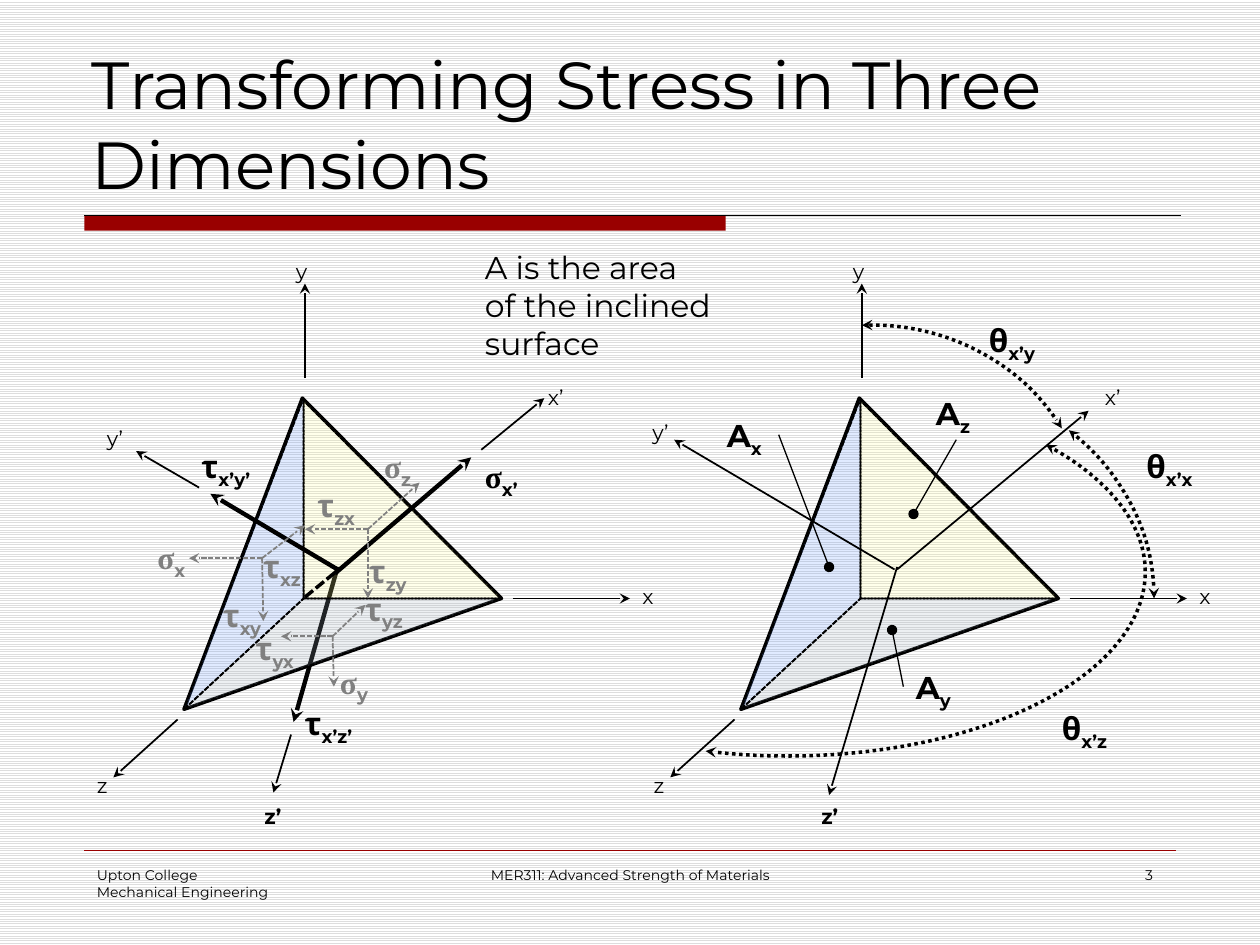
from pptx import Presentation
from pptx.dml.color import RGBColor
from pptx.enum.dml import MSO_LINE, MSO_PATTERN
from pptx.enum.shapes import MSO_CONNECTOR, MSO_SHAPE
from pptx.enum.text import MSO_ANCHOR, MSO_AUTO_SIZE, PP_ALIGN
from pptx.oxml.ns import qn
from pptx.util import Inches, Pt
from lxml.etree import SubElement

BLACK, GREY, RED = "000000", "808080", "990000"
DASH, DOT = MSO_LINE.SQUARE_DOT, MSO_LINE.ROUND_DOT
SANS, SERIF = "Montserrat", "Times New Roman"


def color(value):
    """Turn a hex string into a colour."""
    return RGBColor.from_string(value)


class Sketch:
    """Style and current page, with one method per kind of element."""

    def __init__(self, page):
        """Remember the page and give it the ruled background."""
        self.page = page
        self.shapes = page.shapes
        fill = page.background.fill
        fill.patterned()
        fill.pattern = MSO_PATTERN.LIGHT_HORIZONTAL
        fill.fore_color.rgb = color("DDDDDD")
        fill.back_color.rgb = color("FFFFFF")

    def stroke(self, shape, width, ink=BLACK, dash=None, **ends):
        """Set the outline, its dash and its arrowheads."""
        shape.line.width = Pt(width)
        shape.line.color.rgb = color(ink)
        if dash:
            shape.line.dash_style = dash
        outline = shape.line._get_or_add_ln()
        for name, kind in ends.items():
            SubElement(outline, qn("a:" + name), type=kind)

    def line(self, start, end, width=1, ink=BLACK, dash=None, tail="stealth"):
        """Draw a straight line, with an arrowhead at its end by default."""
        points = [Inches(value) for value in (*start, *end)]
        line = self.shapes.add_connector(MSO_CONNECTOR.STRAIGHT, *points)
        ends = {"tailEnd": tail} if tail else {}
        self.stroke(line, width, ink, dash, **ends)
        SubElement(line._element.spPr, qn("a:effectLst"))

    def polygon(self, points, width, fill=None, dash=None):
        """Draw a closed outline, tinted when a fill is given."""
        corners = [(Inches(x), Inches(y)) for x, y in points]
        builder = self.shapes.build_freeform(*corners[0], scale=1.0)
        builder.add_line_segments(corners[1:], close=True)
        shape = builder.convert_to_shape()
        shape.shadow.inherit = False
        if fill:
            shape.fill.solid()
            shape.fill.fore_color.rgb = color(fill)
            tint = shape._element.spPr.find(qn("a:solidFill"))[0]
            SubElement(tint, qn("a:alpha"), val="20000")
        else:
            shape.fill.background()
        self.stroke(shape, width, dash=dash)

    def bar(self, left, top, width, height):
        """Draw a plain red bar."""
        shape = self.shapes.add_shape(
            MSO_SHAPE.RECTANGLE, *map(Inches, (left, top, width, height)))
        shape.shadow.inherit = False
        shape.fill.solid()
        shape.fill.fore_color.rgb = color(RED)
        shape.line.fill.background()

    def arc(self, left, top, width, height, start, end):
        """Draw a dotted arc between two angles in degrees."""
        shape = self.shapes.add_shape(
            MSO_SHAPE.ARC, *map(Inches, (left, top, width, height)))
        shape.shadow.inherit = False
        shape.fill.background()
        shape.adjustments[0] = start * 0.6
        shape.adjustments[1] = end * 0.6
        self.stroke(shape, 2, dash=DOT, headEnd="stealth", tailEnd="stealth")

    def span(self, para, text, size, ink=BLACK, bold=False, font=SANS, sub=False):
        """Add one run."""
        run = para.add_run()
        run.text = text
        run.font.size, run.font.name, run.font.bold = Pt(size), font, bold
        run.font.color.rgb = color(ink)
        if sub:
            run._r.get_or_add_rPr().set("baseline", "-25000")

    def box(self, left, top, width, height, wrap=True, grow=False):
        """Add an empty text box and return its frame."""
        box = self.shapes.add_textbox(*map(Inches, (left, top, width, height)))
        frame = box.text_frame
        frame.word_wrap = wrap
        if grow:
            frame.auto_size = MSO_AUTO_SIZE.SHAPE_TO_FIT_TEXT
        return frame

    def text(self, place, lines, size, align=PP_ALIGN.LEFT, **options):
        """Add a text box with one paragraph per line."""
        frame = self.box(*place, **options)
        for index, words in enumerate(lines):
            para = frame.add_paragraph() if index else frame.paragraphs[0]
            para.alignment = align
            self.span(para, words, size)
        return frame

    def axis_name(self, name, left, top, bold=False):
        """Add the name of an axis."""
        frame = self.box(left, top, 0.42 if len(name) > 1 else 0.33, 0.3, grow=True)
        self.span(frame.paragraphs[0], name, 12, bold=bold)

    def symbol(self, letter, index, left, top, width, ink=BLACK, wrap=False):
        """Add a bold letter with a subscript."""
        frame = self.box(left, top, width, 0.71 if letter == "τ" else 0.4, wrap, True)
        para = frame.paragraphs[0]
        self.span(para, letter, 18, ink, True, SERIF if letter == "σ" else SANS)
        self.span(para, index, 18, ink, True, sub=True)

    def tetrahedron(self, shift):
        """Draw the cut element with its fixed axes, moved right by shift."""
        def at(x, y):
            return round(x + shift, 2), y

        origin, top, right, front = at(2.41, 4.75), at(2.4, 3.16), at(3.98, 4.75), at(1.46, 5.63)
        for start, end in (((2.42, 3), (2.42, 2.25)), ((4.07, 4.75), (5, 4.75)),
                           ((1.41, 5.71), (0.9, 6.17))):
            self.line(at(*start), at(*end))
        self.polygon((front, top, right), 2)
        for face, tint in (((front, origin, at(2.41, 3.16)), "6699FF"),
                           ((origin, at(2.41, 3.18), right), "FFFF99"),
                           ((origin, right, front), "A3B2C1")):
            self.polygon(face, 1, tint, DASH)
        for name, x, y in (("x", 5, 4.58), ("y", 2.25, 2), ("z", 0.67, 6.08),
                           ("x’", 4.25, 3), ("z’", 2, 6.33)):
            self.axis_name(name, *at(x, y), bold=name == "z’")


deck = Presentation()
deck.slide_width, deck.slide_height = Inches(10), Inches(7.5)
sketch = Sketch(deck.slides.add_slide(deck.slide_layouts[6]))

# Frame of the page
sketch.bar(0.67, 1.71, 5.09, 0.12)
sketch.line((0.67, 1.71), (9.37, 1.71), 0.75, tail=None)
sketch.line((0.67, 6.75), (9.33, 6.75), 0.25, RED, tail=None)
sketch.text((0.67, 6.83, 2.08, 0.5), ("Upton College", "Mechanical Engineering"), 8)
sketch.text((3.42, 6.83, 3.17, 0.5), ("MER311: Advanced Strength of Materials",), 8,
            PP_ALIGN.CENTER)
sketch.text((7.17, 6.83, 2.08, 0.5), ("3",), 8, PP_ALIGN.RIGHT)
title = sketch.text((0.63, 0.33, 8.75, 1.33), ("Transforming Stress in Three Dimensions",), 38)
title.vertical_anchor = MSO_ANCHOR.BOTTOM

# Stresses on the element
sketch.line((2.68, 4.5), (2.33, 5.73), 2.5)
sketch.tetrahedron(0)
sketch.line((2.42, 4.74), (2.7, 4.51), 2, dash=DASH, tail=None)
for start, end in (((2.66, 4.55), (3.74, 3.63)), ((2.68, 4.52), (1.67, 3.92))):
    sketch.line(start, end, 2.5)
for start, end in (((3.82, 3.57), (4.32, 3.16)), ((1.58, 3.87), (1.08, 3.58)),
                   ((2.31, 5.83), (2.17, 6.29))):
    sketch.line(start, end)
face_stresses = (
    ((2.64, 5.05), ((2.9, 4.8), (2.23, 5.05), (2.65, 5.45))),
    ((2.92, 4.2), ((3.33, 3.83), (2.42, 4.2), (2.92, 4.75))),
    ((2.08, 4.43), ((2.42, 4.17), (1.5, 4.43), (2.09, 4.93))),
)
for start, ends in face_stresses:
    for end in ends:
        sketch.line(start, end, 1, GREY, DASH)
for label in (("σ", "x", 1.15, 4.22, 0.45), ("σ", "y", 2.6, 5.21, 0.44),
              ("σ", "z", 2.95, 3.5, 0.43), ("τ", "xy", 1.67, 4.68, 0.53),
              ("τ", "xz", 1.99, 4.29, 0.52), ("τ", "zx", 2.42, 3.81, 0.53),
              ("τ", "zy", 2.83, 4.33, 0.51)):
    sketch.symbol(*label, GREY)
for label in (("τ", "yz", 2.8, 4.63, 0.64), ("τ", "yx", 1.93, 4.94, 0.57)):
    sketch.symbol(*label, GREY, wrap=True)
sketch.axis_name("y’", 0.75, 3.33)

# Areas and angles
sketch.tetrahedron(4.42)
for start, end in (((7.12, 4.52), (8.64, 3.26)), ((7.1, 4.52), (5.35, 3.49)),
                   ((7.12, 4.5), (6.58, 6.31))):
    sketch.line(start, end)
sketch.axis_name("y’", 5.08, 3.28)
sketch.arc(5.17, 2.58, 3.5, 3.33, 267.3, 330.73)
sketch.arc(5.33, 3, 3.83, 3.5, 312.88, 0)
sketch.arc(3.42, 3.08, 5.67, 2.92, 333.74, 114.72)
for label in (("σ", "x’", 3.75, 3.58, 0.5), ("τ", "x’z’", 2.32, 5.54, 0.61),
              ("τ", "x’y’", 1.5, 3.5, 0.62), ("θ", "x’y", 7.75, 2.5, 0.6),
              ("θ", "x’x", 9, 3.5, 0.61), ("θ", "x’z", 8.33, 5.58, 0.6),
              ("A", "x", 5.67, 3.25, 0.51), ("A", "z", 7.33, 3.08, 0.51),
              ("A", "y", 7.17, 5.25, 0.51)):
    sketch.symbol(*label)
for start, end in (((7.17, 5.45), (7.08, 5)), ((6.18, 3.45), (6.58, 4.5)),
                   ((7.59, 3.49), (7.25, 4.08))):
    sketch.line(start, end, 0.75, tail="oval")
sketch.text((3.75, 1.92, 2.19, 1.01), ("A is the area ", "of the inclined", "surface "), 18,
            wrap=False, grow=True)

deck.save("out.pptx")
